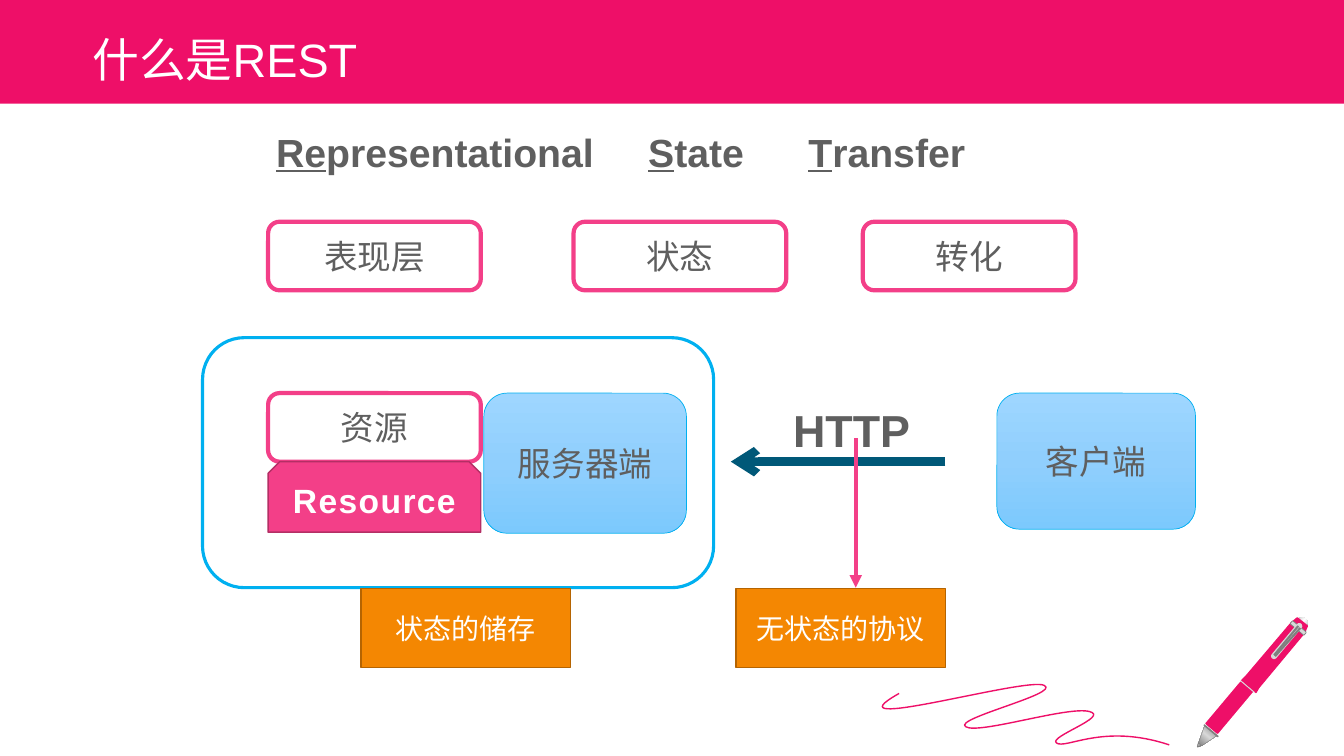
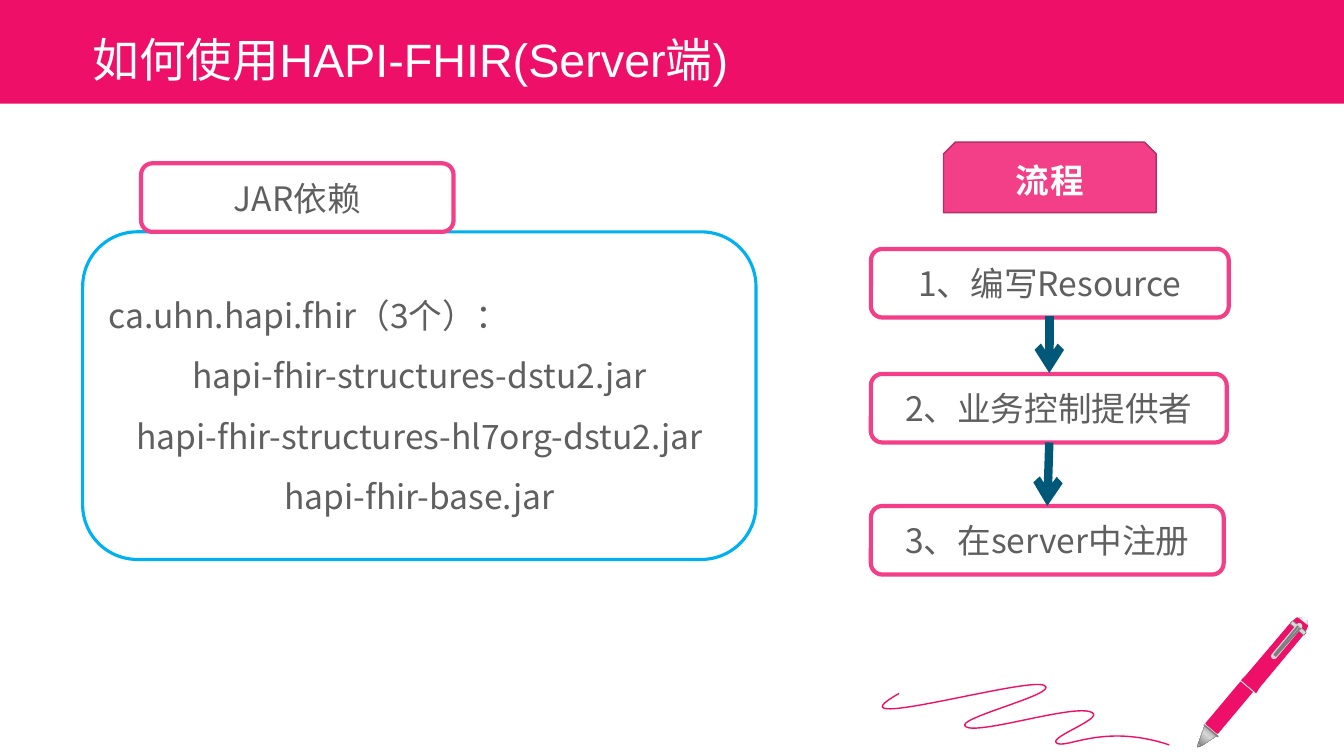
from dataclasses import dataclass
from typing import Optional, Union

from lxml import etree
from pptx import Presentation
from pptx.dml.color import RGBColor
from pptx.enum.shapes import MSO_CONNECTOR, MSO_SHAPE
from pptx.enum.text import MSO_ANCHOR, PP_ALIGN
from pptx.oxml.ns import qn
from pptx.util import Inches, Pt

RECT = MSO_SHAPE.RECTANGLE
ROUND = MSO_SHAPE.ROUNDED_RECTANGLE
SNIP = MSO_SHAPE.SNIP_2_SAME_RECTANGLE
STRAIGHT = MSO_CONNECTOR.STRAIGHT
LEFT, CENTER = PP_ALIGN.LEFT, PP_ALIGN.CENTER
MIDDLE, BOTTOM = MSO_ANCHOR.MIDDLE, MSO_ANCHOR.BOTTOM

PINK = RGBColor(0xEE, 0x0F, 0x68)
ROSE = RGBColor(0xF3, 0x3F, 0x88)
WINE = RGBColor(0xB4, 0x2F, 0x65)
BLUE = RGBColor(0x00, 0xB0, 0xF0)
TEAL = RGBColor(0x00, 0x58, 0x78)
ORANGE = RGBColor(0xF4, 0x87, 0x02)
BROWN = RGBColor(0xB5, 0x64, 0x01)
WHITE = RGBColor(0xFF, 0xFF, 0xFF)
INK = RGBColor(0x5F, 0x5F, 0x5F)
GREY = RGBColor(0x7F, 0x7F, 0x7F)
SILVER = RGBColor(0xD8, 0xD8, 0xD8)
COAL = RGBColor(0x26, 0x26, 0x26)
SKY = RGBColor(0x9E, 0xD6, 0xFF)
AZURE = RGBColor(0x90, 0xCF, 0xFD)
LAKE = RGBColor(0x7C, 0xC9, 0xFD)

ARIAL, NOTO = "Arial", "Noto Sans CJK SC"
TILT = 310
WIDE, HIGH = 40 / 3, 7.5
Point = tuple[float, float]
Area = tuple[float, float, float, float]


@dataclass(frozen=True)
class Grad:
    stops: tuple[tuple[int, RGBColor], ...]
    angle: int


Fill = Optional[Union[RGBColor, Grad]]


@dataclass(frozen=True)
class Type:
    size: float
    color: RGBColor = INK
    font: str = NOTO
    bold: bool = False
    gap: int = 0
    lead: float = 1.0


@dataclass(frozen=True)
class Look:
    kind: int
    fill: Fill = None
    edge: Optional[RGBColor] = None
    width: float = 0
    type: Type = Type(24)


@dataclass(frozen=True)
class Box:
    look: Look
    at: Area
    text: str = ""


@dataclass(frozen=True)
class Part:
    look: Look
    at: Area
    round: Optional[float] = None


@dataclass(frozen=True)
class Arrow:
    start: Point
    end: Point
    color: RGBColor = TEAL
    width: float = 6
    head: str = "arrow"


@dataclass(frozen=True)
class Patch:
    look: Look
    points: tuple[Point, ...]


HEAD = Type(33.4, WHITE, ARIAL, lead=0.9)
NAME = Type(28, INK, ARIAL, bold=True)
WEB = Type(32, INK, ARIAL, bold=True)
LIST = Type(24, lead=1.5)

BAND = Look(RECT, PINK)
FRAME = Look(ROUND, None, BLUE, 2.25, LIST)
LABEL = Look(ROUND, None, ROSE, 3)
TAG = Look(SNIP, ROSE, WINE, 1, Type(24, WHITE, ARIAL, bold=True, gap=100))
NODE = Look(ROUND, Grad(((0, SKY), (50, AZURE), (100, LAKE)), 90), BLUE, 0.5)
NOTE = Look(RECT, ORANGE, BROWN, 1, Type(20, WHITE))

CAP = Look(ROUND, Grad(((0, GREY), (50, WHITE), (100, GREY)), 90))
GRIP = Look(ROUND, PINK, WHITE, 1)
RING = Look(ROUND, SILVER, GREY, 0.5)
CLIP = Look(ROUND, SILVER)
SEAM = Look(RECT, SILVER)
TIP = Look(RECT, Grad(((0, COAL), (36, GREY), (65, WHITE), (80, WHITE), (100, COAL)), 220), GREY, 0.75)
NIB = Look(RECT, Grad(((0, GREY), (50, SILVER), (100, GREY)), TILT), GREY, 0.25)
BODY = Look(RECT, PINK, PINK, 1)
INKED = Look(RECT, None, PINK, 1)

BUTTON = Part(CAP, (12.78, 6.16, 0.21, 0.11), 0.5)
PATCHES = (
    Patch(TIP, ((11.89, 7.37), (11.92, 7.34), (11.94, 7.35), (11.91, 7.4), (11.88, 7.41))),
    Patch(NIB, ((11.95, 7.2), (12.07, 7.3), (11.92, 7.4), (11.89, 7.37))),
    Patch(BODY, ((12.87, 6.13), (12.97, 6.21), (12.94, 6.28), (12.49, 6.82),
                 (12.46, 6.87), (12.32, 6.75), (12.36, 6.71), (12.81, 6.18))),
)
HOLD = Part(GRIP, (11.91, 6.93, 0.57, 0.18), 0.11)
TRIM = (
    Part(SEAM, (12.37, 6.72, 0.01, 0.18)),
    Part(RING, (12.01, 7.16, 0.01, 0.18), 0.37),
    Part(RING, (12.86, 6.14, 0.04, 0.18), 0.2),
    Part(CLIP, (12.54, 6.33, 0.45, 0.06), 0.5),
)
EDGES = (
    Arrow((12.65, 6.51), (12.9, 6.23), GREY, 1.5, ""),
    Arrow((12.64, 6.5), (12.88, 6.21), GREY, 1.5, ""),
)
SPAN = ((8.75, 6.79), (11.6, 6.79), (11.6, 7.39), (8.75, 7.39))
CURVE = (
    (8.92, 6.88), (8.17, 7.3), (10.19, 6.71), (10.36, 6.8),
    (10.53, 6.88), (9.45, 7.13), (9.58, 7.21),
    (9.71, 7.29), (10.6, 7), (10.81, 7.06),
    (11.01, 7.11), (10.4, 7.31), (10.48, 7.37),
    (10.57, 7.44), (10.94, 7.17), (11.6, 7.39),
)


def blend(shape, grad: Grad) -> None:
    shape.fill.gradient()
    node = shape._element.spPr.find(qn("a:gradFill"))
    for child in list(node):
        node.remove(child)
    stops = etree.SubElement(node, qn("a:gsLst"))
    for place, color in grad.stops:
        stop = etree.SubElement(stops, qn("a:gs"), pos=str(place * 1000))
        etree.SubElement(stop, qn("a:srgbClr"), val=str(color))
    etree.SubElement(node, qn("a:lin"), ang=str(grad.angle * 60000), scaled="0")


def paint(shape, look: Look) -> None:
    shape.shadow.inherit = False
    if isinstance(look.fill, Grad):
        blend(shape, look.fill)
    elif look.fill is None:
        shape.fill.background()
    else:
        shape.fill.solid()
        shape.fill.fore_color.rgb = look.fill
    if look.edge is None:
        shape.line.fill.background()
    else:
        shape.line.color.rgb = look.edge
        shape.line.width = Pt(look.width)


def style(para, type: Type, align: int) -> None:
    para.alignment = align
    para.line_spacing = type.lead
    font = para.font
    font.size, font.name, font.bold = Pt(type.size), type.font, type.bold
    font.color.rgb = type.color
    props = para._p.pPr.find(qn("a:defRPr"))
    etree.SubElement(props, qn("a:ea"), typeface=NOTO)
    if type.gap:
        props.set("spc", str(type.gap))


def write(frame, text: str, type: Type, align: int = CENTER) -> None:
    frame.word_wrap = True
    frame.text = text
    for para in frame.paragraphs:
        style(para, type, align)


def label(slide, at: Area, text: str, type: Type):
    box = slide.shapes.add_textbox(*map(Inches, at))
    write(box.text_frame, text, type, LEFT)
    return box.text_frame


def draw(slide, box: Box):
    shape = slide.shapes.add_shape(box.look.kind, *map(Inches, box.at))
    paint(shape, box.look)
    if box.text:
        shape.text_frame.vertical_anchor = MIDDLE
        write(shape.text_frame, box.text, box.look.type)
    return shape


def fit(slide, part: Part) -> None:
    shape = draw(slide, Box(part.look, part.at))
    shape.rotation = TILT
    if part.round is not None:
        shape.adjustments[0] = part.round


def link(slide, arrow: Arrow) -> None:
    line = slide.shapes.add_connector(STRAIGHT, *map(Inches, arrow.start + arrow.end))
    line.line.color.rgb = arrow.color
    line.line.width = Pt(arrow.width)
    props = line._element.spPr
    if arrow.head:
        etree.SubElement(props.find(qn("a:ln")), qn("a:tailEnd"), type=arrow.head)
    etree.SubElement(props, qn("a:effectLst"))


def trace(slide, patch: Patch):
    first, *rest = [(Inches(x), Inches(y)) for x, y in patch.points]
    outline = slide.shapes.build_freeform(*first, scale=1.0)
    outline.add_line_segments(rest)
    shape = outline.convert_to_shape()
    paint(shape, patch.look)
    return shape


def swirl(slide) -> None:
    shape = trace(slide, Patch(INKED, SPAN))
    route = next(shape._element.iter(qn("a:path")))
    for child in list(route):
        route.remove(child)
    groups = [CURVE[:1]] + [CURVE[i:i + 3] for i in range(1, len(CURVE), 3)]
    for group in groups:
        kind = "a:moveTo" if len(group) == 1 else "a:cubicBezTo"
        step = etree.SubElement(route, qn(kind))
        for x, y in group:
            spot = (Inches(x) - shape.left, Inches(y) - shape.top)
            etree.SubElement(step, qn("a:pt"), x=str(spot[0]), y=str(spot[1]))


def adorn(slide) -> None:
    draw(slide, Box(BAND, (0, 0, WIDE, 1.03)))
    fit(slide, BUTTON)
    trace(slide, PATCHES[0])
    fit(slide, HOLD)
    for patch in PATCHES[1:]:
        trace(slide, patch)
    for part in TRIM:
        fit(slide, part)
    for edge in EDGES:
        link(slide, edge)
    swirl(slide)
    layout = slide.slide_layout
    for holder in list(layout.placeholders):
        layout.shapes._spTree.remove(holder._element)
    for shape in list(slide.shapes):
        layout.shapes._spTree.append(shape._element)


def head(slide, title: str) -> None:
    label(slide, (0.82, 0.26, 11.7, 0.66), title, HEAD).vertical_anchor = BOTTOM


def spell(slide) -> None:
    frame = label(slide, (1.15, 1.22, 10.02, 0.57), "", NAME)
    frame.margin_left = Inches(1.59)
    para = frame.paragraphs[0]
    tabs = etree.Element(qn("a:tabLst"))
    for stop in (3.69, 5.28):
        etree.SubElement(tabs, qn("a:tab"), pos=str(Inches(stop)), algn="l")
    para._p.pPr.find(qn("a:defRPr")).addprevious(tabs)
    for initial, rest in (("Re", "presentational\t"), ("S", "tate\t"), ("T", "ransfer")):
        run = para.add_run()
        run.text = initial
        run.font.underline = True
        para.add_run().text = rest


def rest_page(slide) -> None:
    head(slide, "什么是REST")
    spell(slide)
    for left, text in ((2.66, "表现层"), (5.69, "状态"), (8.56, "转化")):
        draw(slide, Box(LABEL, (left, 2.2, 2.11, 0.68), text))
    draw(slide, Box(LABEL, (2.66, 3.9, 2.11, 0.68), "资源"))
    draw(slide, Box(TAG, (2.66, 4.58, 2.11, 0.7), "Resource"))
    draw(slide, Box(FRAME, (2.01, 3.35, 5.07, 2.48)))
    link(slide, Arrow((9.38, 4.58), (7.25, 4.58)))
    draw(slide, Box(NODE, (4.8, 3.9, 2.01, 1.39), "服务器端"))
    draw(slide, Box(NODE, (9.89, 3.9, 1.97, 1.35), "客户端"))
    label(slide, (7.77, 3.95, 1.44, 0.63), "HTTP", WEB)
    for left, text in ((7.3, "无状态的协议"), (3.58, "状态的储存")):
        draw(slide, Box(NOTE, (left, 5.84, 2.08, 0.78), text))
    link(slide, Arrow((8.49, 4.35), (8.49, 5.83), ROSE, 3, "triangle"))


def server_page(slide) -> None:
    head(slide, "如何使用HAPI-FHIR(Server端)")
    jars = ("ca.uhn.hapi.fhir（3个）：\nhapi-fhir-structures-dstu2.jar\n"
            "hapi-fhir-structures-hl7org-dstu2.jar\nhapi-fhir-base.jar")
    frame = draw(slide, Box(FRAME, (0.82, 2.3, 6.68, 3.25), jars))
    frame.text_frame.paragraphs[0].alignment = LEFT
    draw(slide, Box(LABEL, (1.4, 1.62, 3.1, 0.68), "JAR依赖"))
    steps = ((2.47, 3.55, "1、编写Resource"), (3.71, 3.53, "2、业务控制提供者"),
             (5.02, 3.5, "3、在server中注册"))
    for top, width, text in steps:
        draw(slide, Box(LABEL, (8.64, top, width, 0.68), text))
    link(slide, Arrow((10.41, 4.39), (10.39, 5.02)))
    link(slide, Arrow((10.41, 3.14), (10.41, 3.7)))
    draw(slide, Box(TAG, (9.36, 1.41, 2.11, 0.7), "流程"))


deck = Presentation()
deck.slide_width, deck.slide_height = Inches(WIDE), Inches(HIGH)
blank = deck.slide_layouts[6]
first, second = (deck.slides.add_slide(blank) for _ in range(2))
adorn(first)
rest_page(first)
server_page(second)
deck.save("out.pptx")
